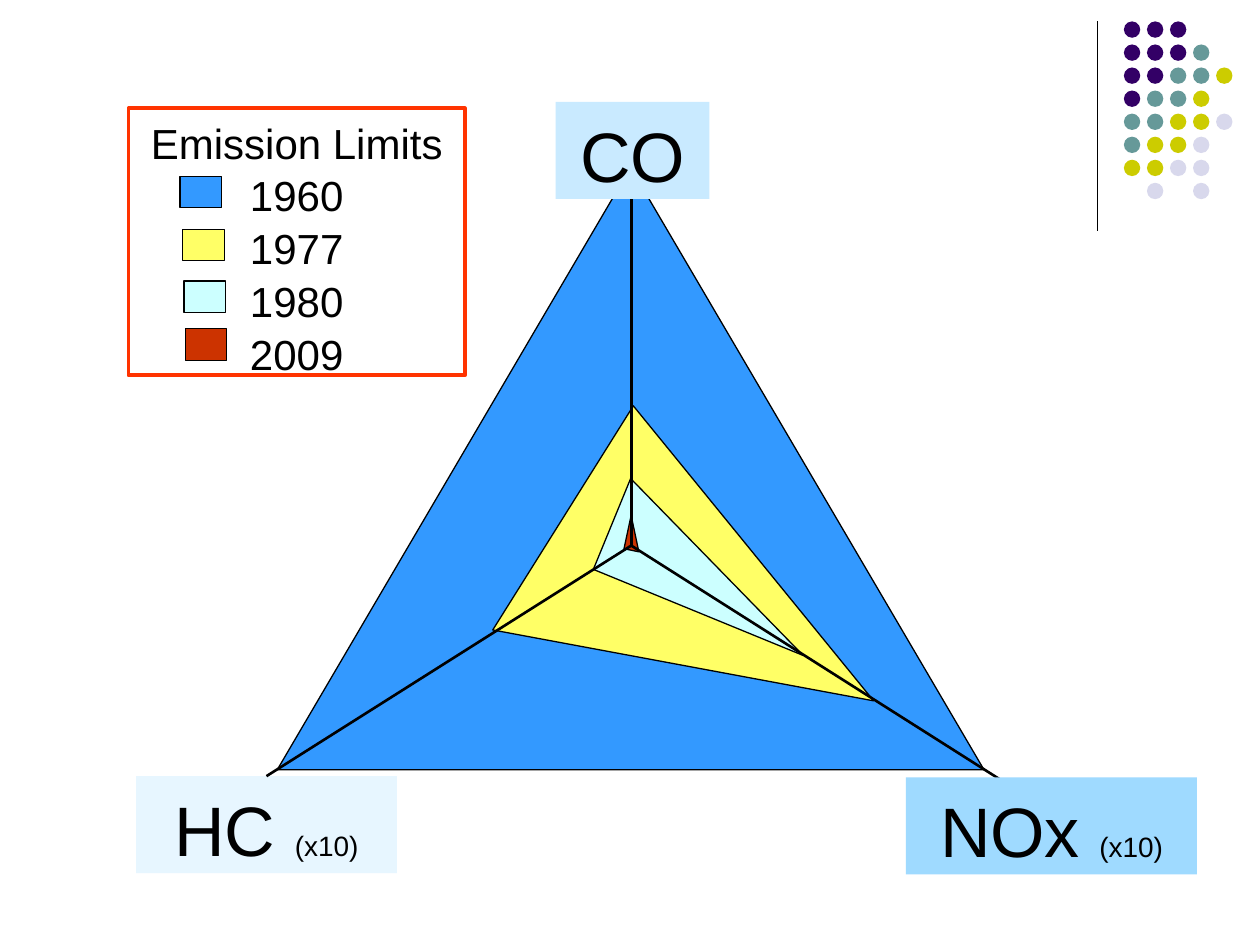
"""Build a slide of CO, HC and NOx emission limits as nested triangles with a legend."""
import pptx
import pptx.dml.color
import pptx.enum.shapes
import pptx.enum.text
import pptx.util
import pptx.oxml

Inches = pptx.util.Inches
Pt = pptx.util.Pt
SHAPE = pptx.enum.shapes.MSO_SHAPE
COLORS = {
    "black": "000000", "frame": "FF3300",
    "P": "330066", "T": "669999", "Y": "CCCC00", "L": "D8D8EC",
    "1960": "3399FF", "1977": "FFFF66", "1980": "CCFFFF", "2009": "CC3300",
    "HC": "E7F6FF", "CO": "C9EAFF", "NOx": "9FDAFF",
}
COLORS = {name: pptx.dml.color.RGBColor.from_string(value) for name, value in COLORS.items()}


def draw(kind, box, fill=None, line=None, width=0.75, lines=(), size=24):
    """Add a preset shape with optional fill, outline and centred lines of text."""
    shape = slide.shapes.add_shape(kind, *map(Inches, box))
    shape.shadow.inherit = False
    if fill:
        shape.fill.solid()
        shape.fill.fore_color.rgb = COLORS[fill]
    else:
        shape.fill.background()
    if line:
        shape.line.color.rgb = COLORS[line]
        shape.line.width = Pt(width)
    else:
        shape.line.fill.background()
    if lines:
        frame = shape.text_frame
        frame.text = "\n".join(lines)
        frame.word_wrap = True
        frame.auto_size = pptx.enum.text.MSO_AUTO_SIZE.SHAPE_TO_FIT_TEXT
        frame.vertical_anchor = pptx.enum.text.MSO_ANCHOR.TOP
        for paragraph in frame.paragraphs:
            paragraph.alignment = pptx.enum.text.PP_ALIGN.CENTER
            paragraph.line_spacing = 1.05
            for run in paragraph.runs:
                run.font.name = "Arial"
                run.font.size = Pt(size)
                run.font.color.rgb = COLORS["black"]
    return shape


def connect(start, end, width):
    """Add a plain black line between two points."""
    line = slide.shapes.add_connector(
        pptx.enum.shapes.MSO_CONNECTOR.STRAIGHT, *map(Inches, start + end))
    line.line.color.rgb = COLORS["black"]
    line.line.width = Pt(width)
    properties = line._element.spPr
    properties.append(properties.makeelement(pptx.oxml.ns.qn("a:effectLst"), {}))
    return line


presentation = pptx.Presentation()
presentation.slide_width = Inches(10)
presentation.slide_height = Inches(7.5)
slide = presentation.slides.add_slide(presentation.slide_layouts[6])

connect((8.71, 0.17), (8.71, 1.83), 0.75)
dot_rows = ["PPP", "PPPT", "PPTTY", "PTTY", "TTYYL", "TYYL", "YYLL", " L L"]
for row, dots in enumerate(dot_rows):
    for column, dot in enumerate(dots):
        if dot != " ":
            draw(SHAPE.OVAL, (8.92 + column * 0.183, 0.17 + row * 0.183, 0.13, 0.13), dot)

swatches = {"1960": (1.43, 1.4), "1977": (1.45, 1.82), "1980": (1.46, 2.23), "2009": (1.47, 2.61)}
draw(SHAPE.RECTANGLE, (1.02, 0.86, 2.67, 2.12), None, "frame", 2.25,
     ["Emission Limits", *swatches])
for year, corner in swatches.items():
    draw(SHAPE.RECTANGLE, (*corner, 0.33, 0.25), year, "black")

limits = [
    ("1960", SHAPE.ISOSCELES_TRIANGLE, (2.2, 1.33, 5.61, 4.78), 0, 0.5),
    ("1977", SHAPE.ISOSCELES_TRIANGLE, (4.63, 3.44, 2.1, 2.86), 122.1, 0.462),
    ("1980", SHAPE.RIGHT_TRIANGLE, (4.79, 4.11, 1.8, 0.78), 22.3, None),
    ("2009", SHAPE.RIGHT_TRIANGLE, (4.98, 4.1, 0.12, 0.27), 12.1, None),
]
for year, kind, box, rotation, apex in limits:
    limit = draw(kind, box, year, "black")
    limit.rotation = rotation
    if apex is not None:
        limit.adjustments[0] = apex

labels = {
    "HC": ((1.08, 6.16, 2.07, 0.77), " (x10)"),
    "CO": ((4.41, 0.81, 1.22, 0.77), ""),
    "NOx": ((7.19, 6.17, 2.31, 0.77), " (x10)"),
}
center = (5.01, 4.33)
for pollutant, (box, scale) in labels.items():
    label = draw(SHAPE.RECTANGLE, box, pollutant, lines=[pollutant + scale[:1]], size=40)
    if scale:
        scale_run = label.text_frame.paragraphs[0].add_run()
        scale_run.text = scale[1:]
        scale_run.font.name = "Arial"
        scale_run.font.size = Pt(16)
        scale_run.font.color.rgb = COLORS["black"]
    if pollutant == "HC":
        connect((2.13, 6.16), center, 1.5).begin_connect(label, 0)
        connect(center, (8.1, 6.29), 1.5)
        connect(center, (5.01, 1.11), 1.5)

presentation.save("out.pptx")
